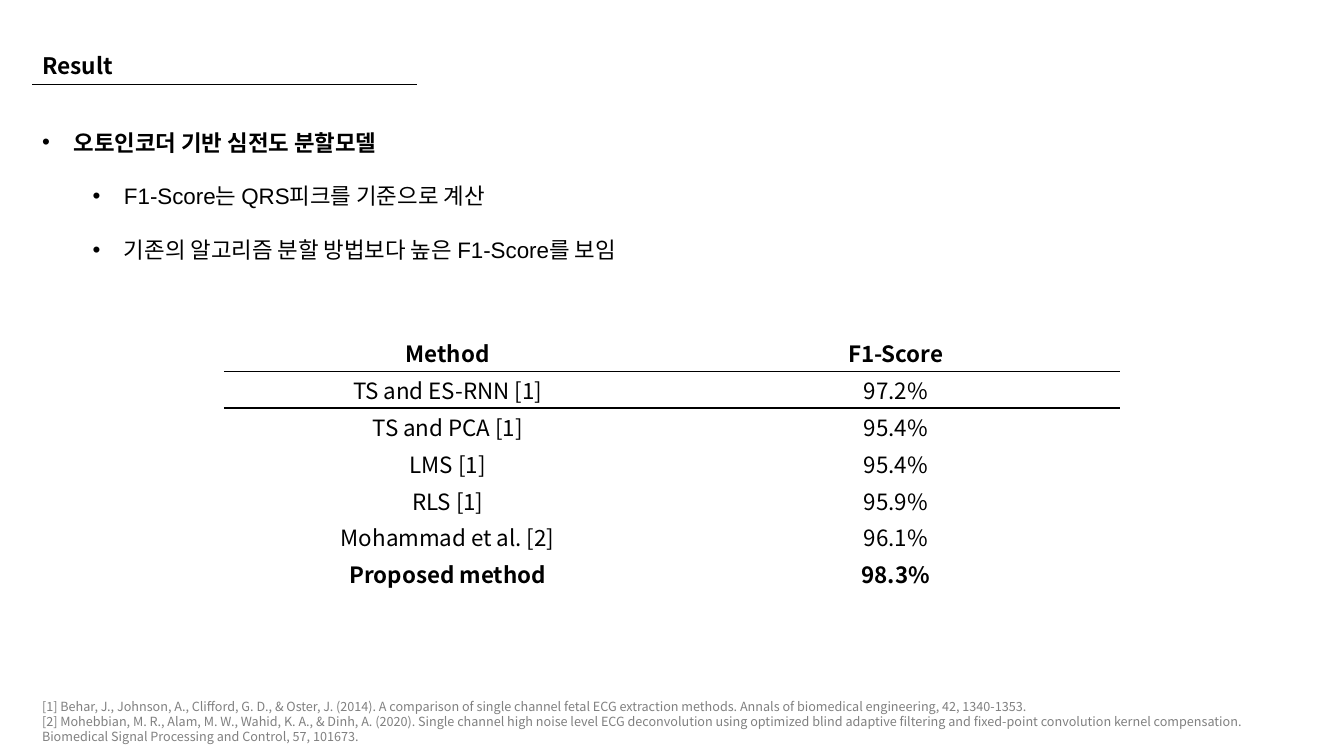
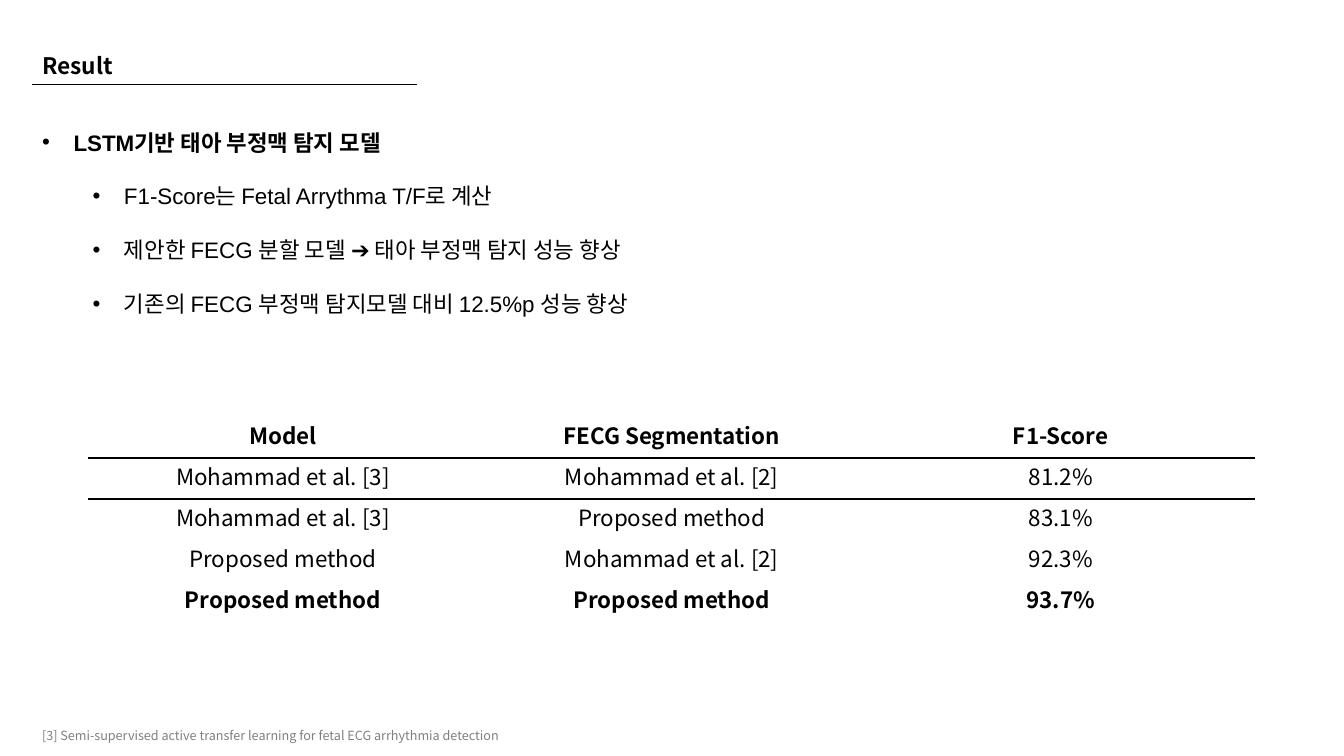
from lxml import etree
from pptx import Presentation
from pptx.dml.color import RGBColor
from pptx.enum.shapes import MSO_CONNECTOR
from pptx.enum.text import MSO_ANCHOR, MSO_AUTO_SIZE, PP_ALIGN
from pptx.oxml.ns import qn
from pptx.util import Cm, Pt

LEFT, CENTER = PP_ALIGN.LEFT, PP_ALIGN.CENTER
TOP, MIDDLE = MSO_ANCHOR.TOP, MSO_ANCHOR.MIDDLE
NO_FIT, GROW = MSO_AUTO_SIZE.NONE, MSO_AUTO_SIZE.SHAPE_TO_FIT_TEXT
STRAIGHT = MSO_CONNECTOR.STRAIGHT

COLORS = {"ink": "000000", "note": "808080"}
SANS = "Noto Sans CJK KR"
LATIN = "Arial"
PLAIN_TABLE_STYLE = "{2D5ABB26-0587-4C30-8999-92F81FD0307C}"
MARGIN_LEFT = 0.81
RULED_ROWS = 2

SLIDES = [
    {
        "title": "Result",
        "bullets": [
            "오토인코더 기반 심전도 분할모델",
            "F1-Score는 QRS피크를 기준으로 계산",
            "기존의 알고리즘 분할 방법보다 높은 F1-Score를 보임",
        ],
        "table": {"left": 5.64, "top": 8.43, "column": 11.29, "row": 0.93},
        "rows": [
            ("Method", "F1-Score"),
            ("TS and ES-RNN [1]", "97.2%"),
            ("TS and PCA [1]", "95.4%"),
            ("LMS [1]", "95.4%"),
            ("RLS [1]", "95.9%"),
            ("Mohammad et al. [2]", "96.1%"),
            ("Proposed method", "98.3%"),
        ],
        "notes_top": 17.48,
        "notes": [
            "[1] Behar, J., Johnson, A., Clifford, G. D., & Oster, J. (2014). "
            "A comparison of single channel fetal ECG extraction methods. "
            "Annals of biomedical engineering, 42, 1340-1353.",
            "[2] Mohebbian, M. R., Alam, M. W., Wahid, K. A., & Dinh, A. (2020). "
            "Single channel high noise level ECG deconvolution using optimized blind "
            "adaptive filtering and fixed-point convolution kernel compensation. "
            "Biomedical Signal Processing and Control, 57, 101673.",
        ],
        "notes_height": 1.42,
    },
    {
        "title": "Result",
        "bullets": [
            "LSTM기반 태아 부정맥 탐지 모델",
            "F1-Score는 Fetal Arrythma T/F로 계산",
            "제안한 FECG 분할 모델 ➔ 태아 부정맥 탐지 성능 향상",
            "기존의 FECG 부정맥 탐지모델 대비 12.5%p 성능 향상",
        ],
        "table": {"left": 2.23, "top": 10.51, "column": 9.8, "row": 1.03},
        "rows": [
            ("Model", "FECG Segmentation", "F1-Score"),
            ("Mohammad et al. [3]", "Mohammad et al. [2]", "81.2%"),
            ("Mohammad et al. [3]", "Proposed method", "83.1%"),
            ("Proposed method", "Mohammad et al. [2]", "92.3%"),
            ("Proposed method", "Proposed method", "93.7%"),
        ],
        "notes_top": 18.21,
        "notes": [
            "[3] Semi-supervised active transfer learning for fetal ECG "
            "arrhythmia detection",
        ],
        "notes_height": 0.63,
    },
]


def place(shape, left, top, width, height):
    shape.left, shape.top = Cm(left), Cm(top)
    shape.width, shape.height = Cm(width), Cm(height)


def format_runs(para, size, font=SANS, color="ink", bold=False):
    for span in para.runs:
        span.font.size = Pt(size)
        span.font.bold = bold
        span.font.color.rgb = RGBColor.from_string(COLORS[color])
        span.font.name = font
        east_asian = etree.Element(qn("a:ea"), typeface=SANS)
        span.font._element.find(qn("a:latin")).addnext(east_asian)


def add_title_rule(page):
    """Draw the rule under the title and move it to the layout all pages share."""
    rule = page.shapes.add_connector(
        STRAIGHT, Cm(MARGIN_LEFT), Cm(2.13), Cm(10.52), Cm(2.13))
    rule.line.color.rgb = RGBColor.from_string(COLORS["ink"])
    rule.line.width = Pt(0.5)
    etree.SubElement(rule.element.spPr, qn("a:effectLst"))
    page.slide_layout.shapes.element.append(rule.element)


def fill_title(page, text):
    title = page.shapes.title
    place(title, MARGIN_LEFT, 1.24, 15.75, 0.91)
    frame = title.text_frame
    frame.text = text
    frame.auto_size = NO_FIT
    frame.vertical_anchor = MIDDLE
    para = frame.paragraphs[0]
    para.alignment = LEFT
    para.line_spacing = 0.9
    format_runs(para, 16.2, bold=True)


def set_bullet(para, indent):
    hanging = Cm(0.79)
    properties = para._p.get_or_add_pPr()
    properties.set("marL", str(Cm(indent)))
    properties.set("indent", str(-hanging))
    etree.SubElement(properties, qn("a:buFont"), typeface=LATIN)
    etree.SubElement(properties, qn("a:buChar"), char="•")


def fill_bullets(page, lines):
    """The first line is the bold heading; the others sit one level below it."""
    body = page.placeholders[1]
    place(body, MARGIN_LEFT, 2.44, 31.19, 1.38 * len(lines))
    frame = body.text_frame
    frame.text = "\n".join(lines)
    frame.auto_size = GROW
    frame.vertical_anchor = TOP
    for index, para in enumerate(frame.paragraphs):
        heading = index == 0
        para.level = 0 if heading else 1
        para.alignment = LEFT
        para.line_spacing = 2.0
        para.space_before = Pt(0)
        set_bullet(para, 0.79 if heading else 2.06)
        format_runs(para, 16, font=LATIN, bold=heading)


def rule_below(cell):
    border = etree.Element(qn("a:lnB"), w=str(Pt(1.5)))
    fill = etree.SubElement(border, qn("a:solidFill"))
    etree.SubElement(fill, qn("a:srgbClr"), val=COLORS["ink"])
    cell._tc.get_or_add_tcPr().insert(0, border)


def fill_cell(cell, text, bold):
    cell.text = text
    cell.fill.background()
    cell.margin_top = cell.margin_bottom = Cm(0.05)
    cell.vertical_anchor = TOP
    para = cell.text_frame.paragraphs[0]
    para.alignment = CENTER
    format_runs(para, 16, bold=bold)


def add_score_table(page, rows, left, top, column, row):
    """Column and row are the sizes of one cell; first and last rows are bold."""
    row_count, column_count = len(rows), len(rows[0])
    frame = page.shapes.add_table(
        row_count, column_count, Cm(left), Cm(top),
        Cm(column * column_count), Cm(row * row_count))
    table = frame.table
    table.horz_banding = False
    table._tbl.tblPr.find(qn("a:tableStyleId")).text = PLAIN_TABLE_STYLE
    for row_index, values in enumerate(rows):
        for column_index, text in enumerate(values):
            cell = table.cell(row_index, column_index)
            fill_cell(cell, text, bold=row_index in (0, row_count - 1))
            if row_index < RULED_ROWS:
                rule_below(cell)


def add_references(page, lines, top, height):
    box = page.shapes.add_textbox(
        Cm(MARGIN_LEFT), Cm(top), Cm(31.95), Cm(height))
    frame = box.text_frame
    frame.word_wrap = True
    frame.auto_size = GROW
    frame.text = "\n".join(lines)
    for para in frame.paragraphs:
        format_runs(para, 9, color="note")


def main():
    deck = Presentation()
    deck.slide_width, deck.slide_height = Cm(33.87), Cm(19.05)
    layout = deck.slide_layouts[1]
    for content in SLIDES:
        page = deck.slides.add_slide(layout)
        fill_title(page, content["title"])
        fill_bullets(page, content["bullets"])
        add_score_table(page, content["rows"], **content["table"])
        add_references(page, content["notes"], content["notes_top"],
                       content["notes_height"])
    add_title_rule(deck.slides[0])
    deck.save("out.pptx")


if __name__ == "__main__":
    main()
